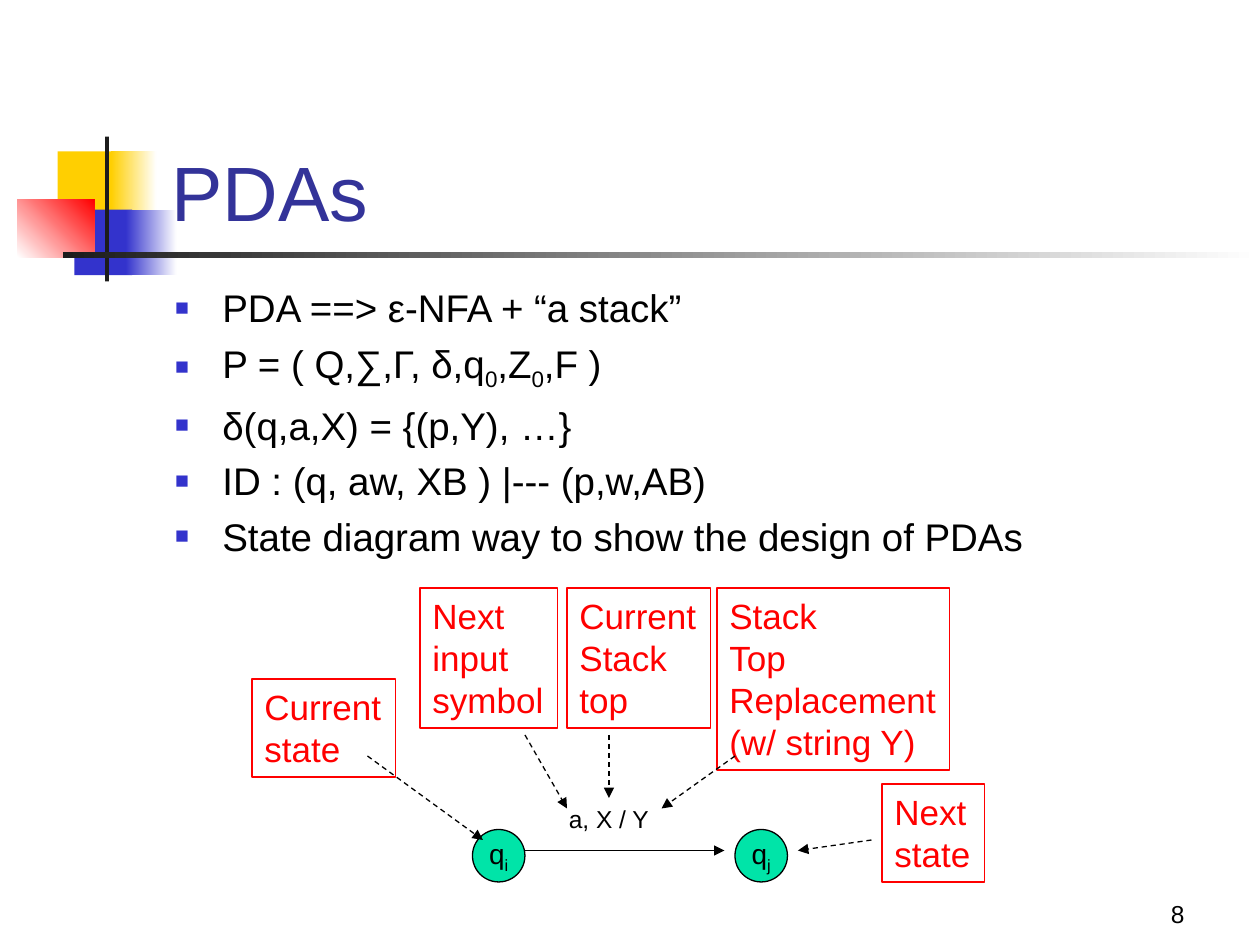
from pptx import Presentation
from pptx.dml.color import RGBColor
from pptx.enum.dml import MSO_LINE
from pptx.enum.shapes import MSO_CONNECTOR, MSO_SHAPE
from pptx.enum.text import MSO_ANCHOR, MSO_AUTO_SIZE, PP_ALIGN
from pptx.oxml.ns import qn
from pptx.util import Pt
from lxml import etree

BLACK = RGBColor(0x00, 0x00, 0x00)
WHITE = RGBColor(0xFF, 0xFF, 0xFF)
RED = RGBColor(0xFF, 0x00, 0x00)
YELLOW = RGBColor(0xFF, 0xCF, 0x01)
BLUE = RGBColor(0x33, 0x33, 0xCC)
CHARCOAL = RGBColor(0x1C, 0x1C, 0x1C)
TITLE_BLUE = RGBColor(0x33, 0x33, 0x99)
STATE_GREEN = RGBColor(0x00, 0xE4, 0xA8)

RECTANGLE = MSO_SHAPE.RECTANGLE
OVAL = MSO_SHAPE.OVAL
STRAIGHT = MSO_CONNECTOR.STRAIGHT
DASH = MSO_LINE.DASH
TOP, MIDDLE, BOTTOM = MSO_ANCHOR.TOP, MSO_ANCHOR.MIDDLE, MSO_ANCHOR.BOTTOM
LEFT, CENTER, RIGHT = PP_ALIGN.LEFT, PP_ALIGN.CENTER, PP_ALIGN.RIGHT
FIT_SHAPE = MSO_AUTO_SIZE.SHAPE_TO_FIT_TEXT
FONT = "Arial"

BULLETS = [
    ["PDA ==> ε-NFA + “a stack”"],
    ["P = ( Q,∑,Γ, δ,q", "0", ",Z", "0", ",F )"],
    ["δ(q,a,X) = {(p,Y), …}"],
    ["ID : (q, aw, XB ) |--- (p,w,AB)"],
    ["State diagram way to show the design of PDAs"],
]
LABELS = [
    (["Next", "input", "symbol"], (96, 0, 78.5, 80)),
    (["Current", "Stack", "top"], (180, 0, 82, 80)),
    (["Stack", "Top", "Replacement", "(w/ string Y)"], (265.7, 0, 133, 104)),
    (["Current", "state"], (0, 52, 82, 56)),
    (["Next", "state"], (360, 112, 58.5, 56)),
]
POINTERS = [
    ((66, 96), (132, 144)),
    ((156, 84), (180, 126)),
    ((204, 84), (204, 120)),
    ((276, 96), (234, 126)),
    ((354, 144), (312, 150)),
]


def to_points(box):
    """Turn plain numbers into lengths."""
    return [Pt(value) for value in box]


def offset(box, left, top):
    """Move a box by the origin of its region."""
    return (box[0] + left, box[1] + top, *box[2:])


def write_paragraphs(frame, paragraphs, size, color, align=LEFT):
    """Write paragraphs whose every second part is a subscript."""
    for index, parts in enumerate(paragraphs):
        paragraph = frame.add_paragraph() if index else frame.paragraphs[0]
        paragraph.alignment = align
        for position, part in enumerate(parts):
            run = paragraph.add_run()
            run.text = part
            run.font.name = FONT
            run.font.size = Pt(size)
            run.font.color.rgb = color
            if position % 2:
                run.font._element.set("baseline", "-25000")


def add_text(slide, box, paragraphs, size, color, align=LEFT, anchor=TOP, wrap=True):
    """Place a text box and return it."""
    textbox = slide.shapes.add_textbox(*to_points(box))
    frame = textbox.text_frame
    frame.word_wrap = wrap
    frame.vertical_anchor = anchor
    if not wrap:
        frame.auto_size = FIT_SHAPE
    write_paragraphs(frame, paragraphs, size, color, align)
    return textbox


def add_block(slide, box, start, end=None, angle=0):
    """Place a borderless rectangle, solid or fading from start to end."""
    shape = slide.shapes.add_shape(RECTANGLE, *to_points(box))
    shape.shadow.inherit = False
    shape.line.fill.background()
    if end is None:
        shape.fill.solid()
        shape.fill.fore_color.rgb = start
        return
    shape.fill.gradient()
    shape.fill.gradient_angle = angle
    for stop, color, position in zip(shape.fill.gradient_stops, (start, end), (0, 1)):
        stop.color.rgb = color
        stop.position = position


def add_arrow(slide, start, end, dashed=False):
    """Draw a thin arrow with a triangular head at its end."""
    connector = slide.shapes.add_connector(STRAIGHT, *to_points((*start, *end)))
    connector.line.color.rgb = BLACK
    connector.line.width = Pt(0.75)
    if dashed:
        connector.line.dash_style = DASH
    line = connector.line._get_or_add_ln()
    etree.SubElement(line, qn("a:tailEnd"), type="triangle")
    etree.SubElement(connector._element.spPr, qn("a:effectLst"))


def add_state(slide, box, subscript):
    """Draw one automaton state as a labelled circle."""
    shape = slide.shapes.add_shape(OVAL, *to_points(box))
    shape.shadow.inherit = False
    shape.fill.solid()
    shape.fill.fore_color.rgb = STATE_GREEN
    shape.line.color.rgb = BLACK
    shape.line.width = Pt(0.75)
    shape.text_frame.word_wrap = False
    shape.text_frame.vertical_anchor = MIDDLE
    write_paragraphs(shape.text_frame, [["q", subscript]], 16, BLACK, CENTER)


def add_ornament(slide, left, top):
    """Draw the coloured blocks and crossing bars beside the title."""
    blocks = [
        ((23, 8.5, 34.5, 37.5), YELLOW),
        ((53.5, 8.5, 26, 37.5), YELLOW, WHITE),
        ((32.5, 41.8, 33, 37.5), BLUE),
        ((62, 41.8, 29, 37.5), BLUE, WHITE),
        ((0, 36, 44, 33), WHITE, RED, 45),
        ((50, 0, 2.3, 82.8), CHARCOAL),
        ((26, 66, 684, 3.5), CHARCOAL, WHITE),
    ]
    for box, *colors in blocks:
        add_block(slide, offset(box, left, top), *colors)


def add_bullets(slide, box):
    """Place the bulleted statements."""
    textbox = add_text(slide, box, BULLETS, 22, BLACK)
    for paragraph in textbox.text_frame.paragraphs:
        paragraph.space_before = Pt(5.3)
        properties = paragraph._p.get_or_add_pPr()
        properties.set("marL", str(Pt(27)))
        properties.set("indent", str(-Pt(27)))
        color = etree.SubElement(properties, qn("a:buClr"))
        etree.SubElement(color, qn("a:srgbClr"), val=str(BLUE))
        etree.SubElement(properties, qn("a:buSzPct"), val="60000")
        etree.SubElement(properties, qn("a:buFont"), typeface=FONT)
        etree.SubElement(properties, qn("a:buChar"), char="■")


def add_diagram(slide, left, top):
    """Draw the transition between two states with its explained parts."""
    for subscript, state_left in (("i", 126), ("j", 276)):
        add_state(slide, offset((state_left, 138, 30, 30), left, top), subscript)
    add_arrow(slide, offset((156, 150), left, top), offset((270, 150), left, top))
    transition = offset((174, 120, 64, 24), left, top)
    add_text(slide, transition, [["a, X / Y"]], 14, BLACK, wrap=False)
    for lines, box in LABELS:
        paragraphs = [[line] for line in lines]
        label = add_text(slide, offset(box, left, top), paragraphs, 20, RED, wrap=False)
        label.line.color.rgb = RED
        label.line.width = Pt(0.75)
    for start, end in POINTERS:
        add_arrow(slide, offset(start, left, top), offset(end, left, top), dashed=True)


def main():
    """Build the slide and save it."""
    presentation = Presentation()
    presentation.slide_width = Pt(720)
    presentation.slide_height = Pt(540)
    slide = presentation.slides.add_slide(presentation.slide_layouts[6])
    add_ornament(slide, 10, 78)
    add_text(slide, (534, 498, 150, 36), [["8"]], 14, BLACK, RIGHT, BOTTOM)
    add_text(slide, (91, 49, 613, 90), [["PDAs"]], 44, TITLE_BLUE, anchor=BOTTOM)
    add_bullets(slide, (93, 159, 612, 324))
    add_diagram(slide, 144, 336)
    presentation.save("out.pptx")


if __name__ == "__main__":
    main()
